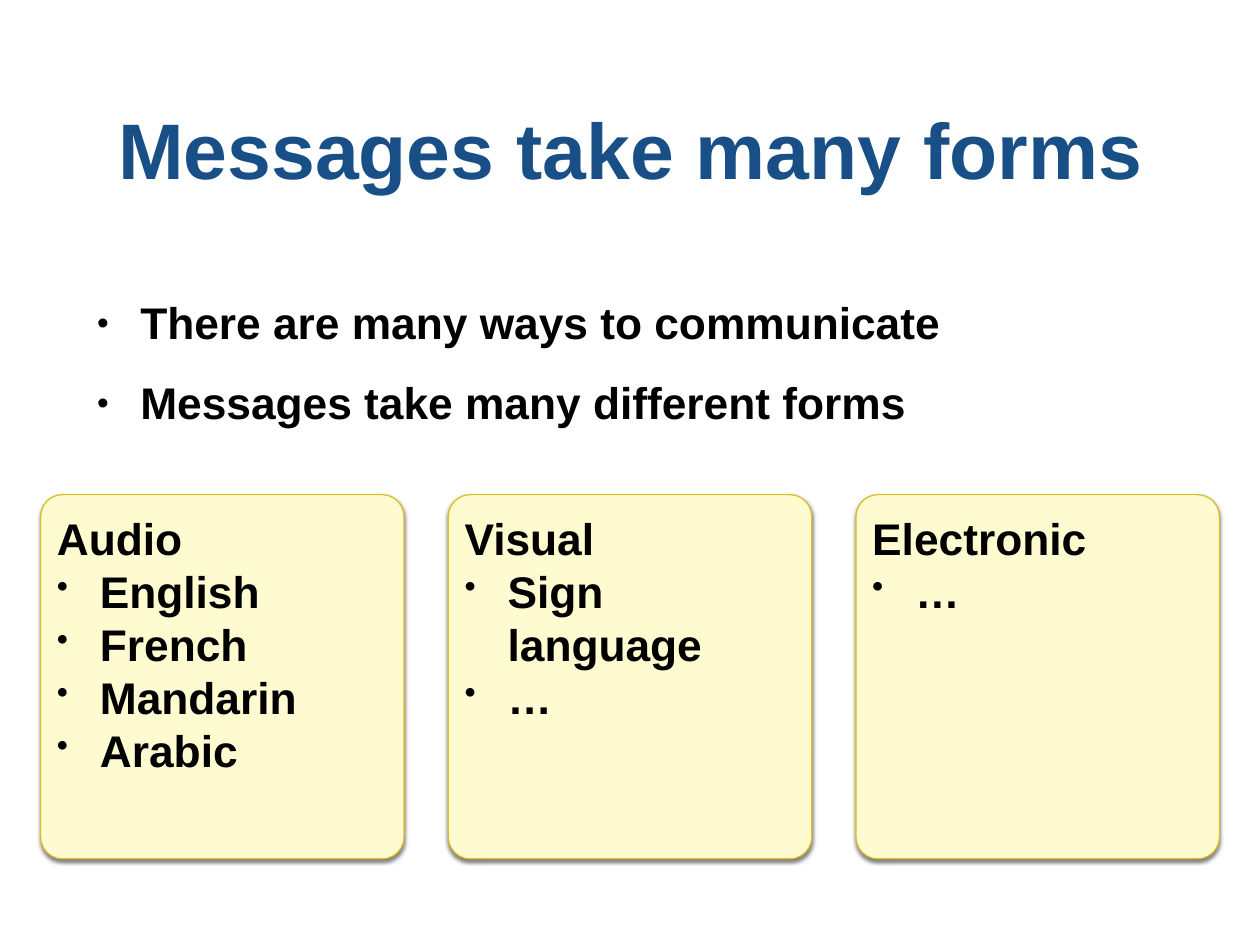
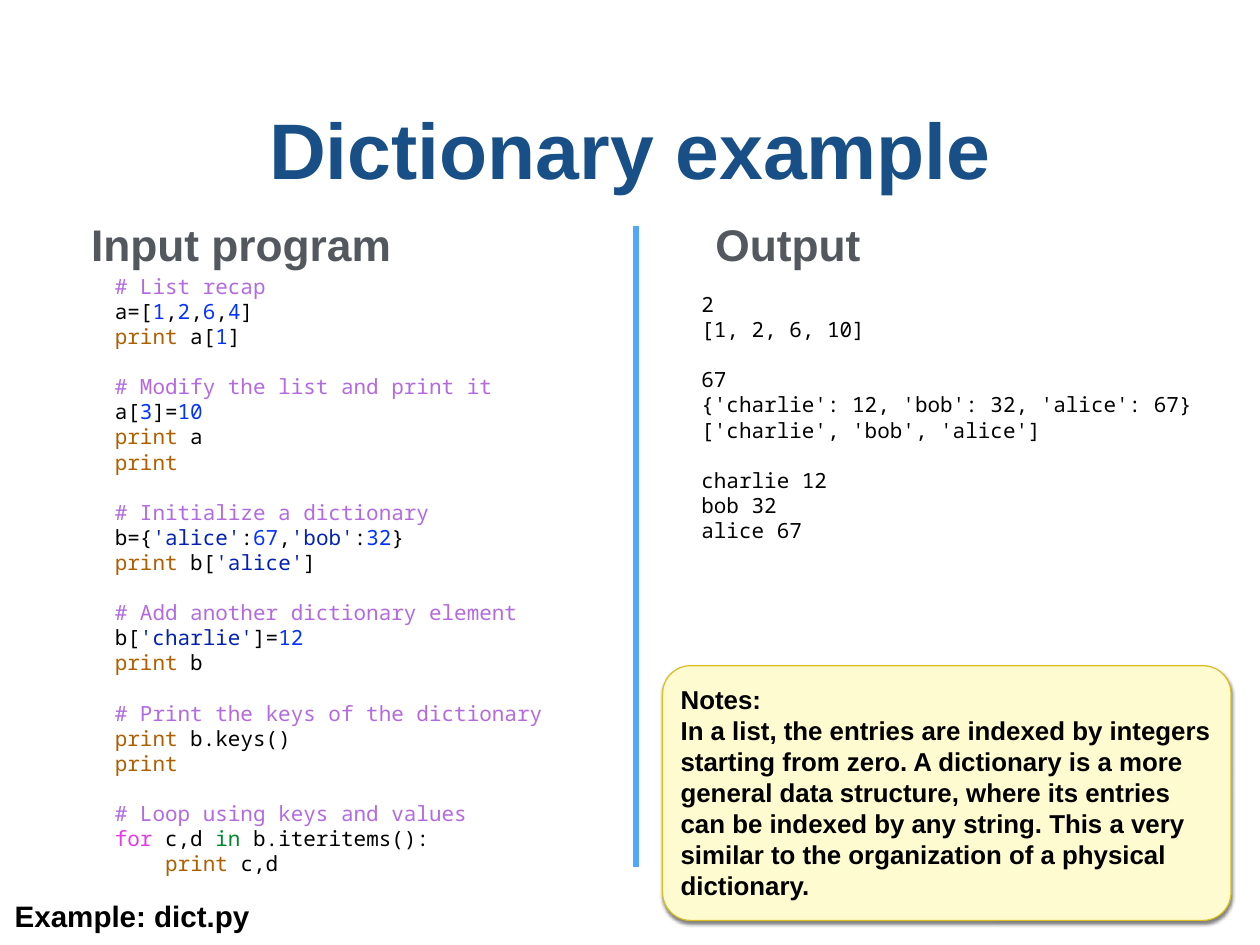
from dataclasses import dataclass

from lxml.etree import SubElement
from pptx import Presentation
from pptx.dml.color import RGBColor as Rgb
from pptx.enum.shapes import MSO_CONNECTOR as Connector, MSO_SHAPE as Preset
from pptx.enum.text import MSO_ANCHOR as Anchor, MSO_AUTO_SIZE as AutoSize, PP_ALIGN as Align
from pptx.oxml.ns import qn
from pptx.util import Pt


@dataclass(frozen=True)
class Box:
    left: float
    top: float
    width: float
    height: float


@dataclass(frozen=True)
class Style:
    size: float
    color: str = "000000"
    font: str = "Arial"
    bold: bool = True


@dataclass(frozen=True)
class Theme:
    title: Style = Style(64, "174F86")
    body: Style = Style(36)
    heading: Style = Style(36, "53585F")
    note: Style = Style(21)
    caption: Style = Style(24)
    code_size: float = 17
    code_font: str = "Noto Sans Mono"
    code_line: float = 20.4
    card_fill: str = "FFFBD1"
    card_line: str = "DCBD23"
    shadow: str = "000000"
    divider: str = "51A8F9"
    inset: float = 4
    card_inset: float = 8
    indent: float = 35

    def code(self, role):
        return Style(self.code_size, CODE_COLORS[role], self.code_font, False)


CODE_COLORS = {
    "plain": "000000",
    "comment": "B36AE1",
    "number": "0433FF",
    "string": "0220B3",
    "print": "AF5F00",
    "loop": "E539E5",
    "operator": "00882B",
}
THEME = Theme()
SLIDE = Box(0, 0, 1024, 768)
TITLE = Box(34, 35, 956, 170)

FORMS = [
    ("Audio", ["English", "French", "Mandarin", "Arabic"]),
    ("Visual", ["Sign language", "…"]),
    ("Electronic", ["…"]),
]


def plain(text):
    return "plain", text


def comment(text):
    return [("comment", text)]


def number(text):
    return "number", text


def string(text):
    return "string", text


PRINT = ("print", "print")
PROGRAM = [
    [
        comment("# List recap"),
        [plain("a=["), number("1"), plain(","), number("2"), plain(","),
         number("6"), plain(","), number("4"), plain("]")],
        [PRINT, plain(" a["), number("1"), plain("]")],
    ],
    [
        comment("# Modify the list and print it"),
        [plain("a["), number("3"), plain("]="), number("10")],
        [PRINT, plain(" a")],
        [PRINT],
    ],
    [
        comment("# Initialize a dictionary"),
        [plain("b={"), string("'alice'"), plain(":"), number("67"), plain(","),
         string("'bob'"), plain(":"), number("32"), plain("}")],
        [PRINT, plain(" b["), string("'alice'"), plain("]")],
    ],
    [
        comment("# Add another dictionary element"),
        [plain("b["), string("'charlie'"), plain("]="), number("12")],
        [PRINT, plain(" b")],
    ],
    [
        comment("# Print the keys of the dictionary"),
        [PRINT, plain(" b.keys()")],
        [PRINT],
    ],
    [
        comment("# Loop using keys and values"),
        [("loop", "for"), plain(" c,d "), ("operator", "in"), plain(" b.iteritems():")],
        [plain("    "), PRINT, plain(" c,d")],
    ],
]
OUTPUT = [
    [[plain(line)] for line in block]
    for block in [
        ["2", "[1, 2, 6, 10]"],
        ["67", "{'charlie': 12, 'bob': 32, 'alice': 67}", "['charlie', 'bob', 'alice']"],
        ["charlie 12", "bob 32", "alice 67"],
    ]
]
NOTES = [
    "Notes:",
    "In a list, the entries are indexed by integers starting from zero. "
    "A dictionary is a more general data structure, where its entries can be "
    "indexed by any string. This a very similar to the organization of a "
    "physical dictionary.",
]


def lengths(box):
    return Pt(box.left), Pt(box.top), Pt(box.width), Pt(box.height)


def add_run(paragraph, text, style):
    run = paragraph.add_run()
    run.text = text
    run.font.name = style.font
    run.font.size = Pt(style.size)
    run.font.bold = style.bold
    run.font.color.rgb = Rgb.from_string(style.color)


def next_paragraph(frame):
    first = frame.paragraphs[0]
    return frame.add_paragraph() if first.runs else first


def add_bullet(paragraph):
    properties = paragraph._p.get_or_add_pPr()
    properties.set("marL", str(Pt(THEME.indent)))
    properties.set("indent", str(-Pt(THEME.indent)))
    SubElement(properties, qn("a:buSzPct"), val="75000")
    SubElement(properties, qn("a:buChar"), char="•")


def set_frame(frame, inset, anchor):
    frame.margin_left = frame.margin_right = Pt(inset)
    frame.margin_top = frame.margin_bottom = Pt(inset)
    frame.vertical_anchor = anchor
    frame.word_wrap = True
    frame.auto_size = AutoSize.NONE


def place(placeholder, box):
    placeholder.left, placeholder.top, placeholder.width, placeholder.height = lengths(box)
    set_frame(placeholder.text_frame, THEME.inset, Anchor.MIDDLE)
    return placeholder.text_frame


def add_titled_slide(presentation, layout, title):
    slide = presentation.slides.add_slide(presentation.slide_layouts.get_by_name(layout))
    paragraph = place(slide.shapes.title, TITLE).paragraphs[0]
    paragraph.alignment = Align.CENTER
    add_run(paragraph, title, THEME.title)
    return slide


def fill_body(slide, box, items):
    frame = place(slide.placeholders[1], box)
    for index, item in enumerate(items):
        paragraph = next_paragraph(frame)
        add_bullet(paragraph)
        paragraph.line_spacing = 0.9
        paragraph.space_before = Pt(26 if index else 0)
        add_run(paragraph, item, THEME.body)


def add_shadow(shape):
    shape.shadow.inherit = False
    effects = shape._element.spPr.find(qn("a:effectLst"))
    shadow = SubElement(effects, qn("a:outerShdw"), blurRad=str(Pt(3)), dist=str(Pt(2)),
                        dir="5400000", rotWithShape="0")
    color = SubElement(shadow, qn("a:srgbClr"), val=THEME.shadow)
    SubElement(color, qn("a:alpha"), val="50000")


def add_card(slide, box, style, lines, bullets=(), rounding=0.06):
    card = slide.shapes.add_shape(Preset.ROUNDED_RECTANGLE, *lengths(box))
    card.adjustments[0] = rounding
    card.fill.solid()
    card.fill.fore_color.rgb = Rgb.from_string(THEME.card_fill)
    card.line.color.rgb = Rgb.from_string(THEME.card_line)
    card.line.width = Pt(1)
    add_shadow(card)
    set_frame(card.text_frame, THEME.card_inset, Anchor.TOP)
    for index, text in enumerate([*lines, *bullets]):
        paragraph = next_paragraph(card.text_frame)
        paragraph.alignment = Align.LEFT
        if index >= len(lines):
            add_bullet(paragraph)
        add_run(paragraph, text, style)


def add_card_row(slide, box, gap, cards):
    width = (box.width - gap * (len(cards) - 1)) / len(cards)
    for index, (heading, items) in enumerate(cards):
        left = box.left + index * (width + gap)
        add_card(slide, Box(left, box.top, width, box.height), THEME.body, [heading], items)


def add_text_frame(slide, box):
    frame = slide.shapes.add_textbox(*lengths(box)).text_frame
    set_frame(frame, THEME.inset, Anchor.MIDDLE)
    frame.word_wrap = False
    frame.auto_size = AutoSize.SHAPE_TO_FIT_TEXT
    return frame


def add_label(slide, box, text, style):
    add_run(add_text_frame(slide, box).paragraphs[0], text, style)


def add_code(slide, box, blocks):
    frame = add_text_frame(slide, box)
    for block_index, block in enumerate(blocks):
        for line_index, line in enumerate(block):
            paragraph = next_paragraph(frame)
            if block_index and not line_index:
                paragraph.space_before = Pt(THEME.code_line)
            for role, text in line:
                add_run(paragraph, text, THEME.code(role))


def add_divider(slide, box):
    x = Pt(box.left)
    line = slide.shapes.add_connector(Connector.STRAIGHT, x, Pt(box.top + box.height), x, Pt(box.top))
    line.line.color.rgb = Rgb.from_string(THEME.divider)
    line.line.width = Pt(5)
    SubElement(line._element.spPr, qn("a:effectLst"))


def build_forms(presentation):
    slide = add_titled_slide(presentation, "Title and Content", "Messages take many forms")
    fill_body(slide, Box(75, 205, 874, 184),
              ["There are many ways to communicate", "Messages take many different forms"])
    add_card_row(slide, Box(33, 402, 958, 296), 36, FORMS)


def build_dictionary(presentation):
    slide = add_titled_slide(presentation, "Title Only", "Dictionary example")
    add_divider(slide, Box(517, 184, 0, 521))
    add_label(slide, Box(70, 173, 253, 51), "Input program", THEME.heading)
    add_label(slide, Box(577.5, 173, 127, 51), "Output", THEME.heading)
    add_code(slide, Box(89.3, 223, 367, 488), PROGRAM)
    add_code(slide, Box(566, 235, 418, 208), OUTPUT)
    add_label(slide, Box(8, 726, 199.5, 37), "Example: dict.py", THEME.caption)
    add_card(slide, Box(538.5, 541, 462, 207), THEME.note, NOTES, rounding=0.11)


def main():
    presentation = Presentation()
    presentation.slide_width = Pt(SLIDE.width)
    presentation.slide_height = Pt(SLIDE.height)
    build_forms(presentation)
    build_dictionary(presentation)
    presentation.save("out.pptx")


if __name__ == "__main__":
    main()
